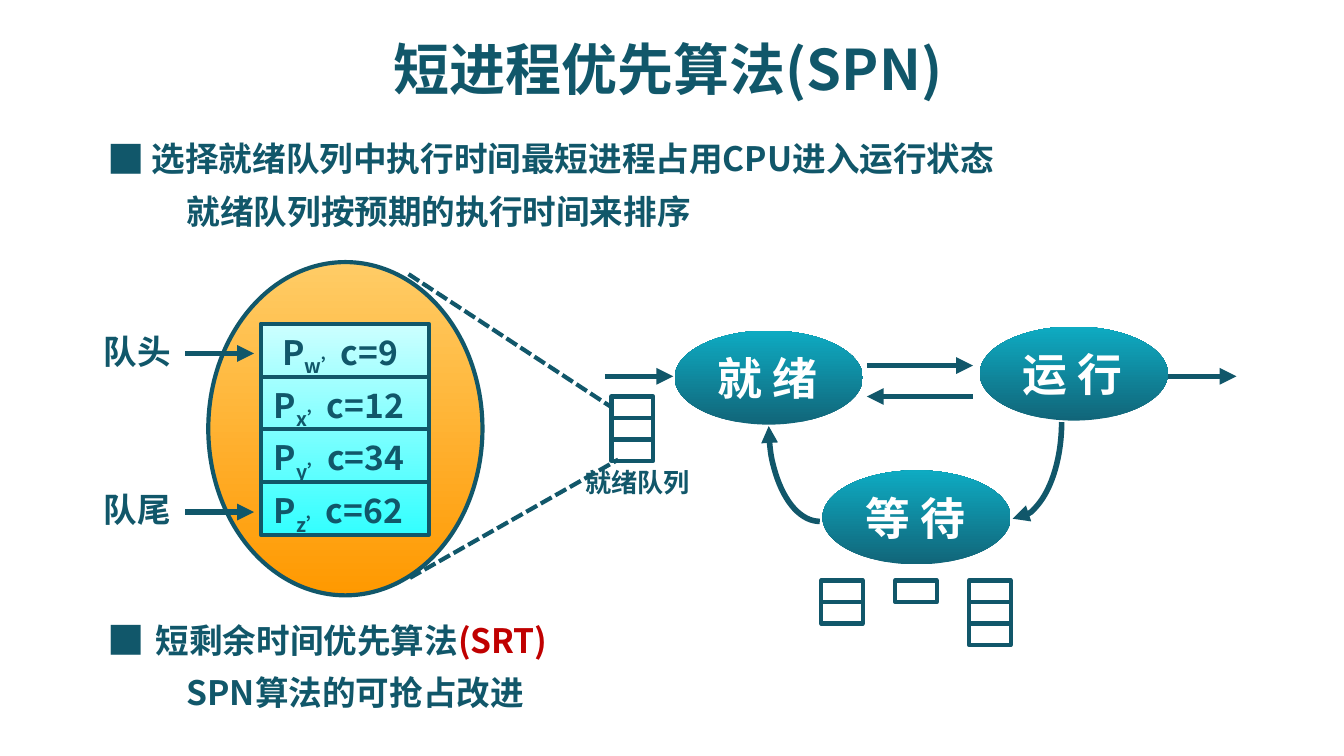
from lxml import etree
from pptx import Presentation
from pptx.dml.color import RGBColor
from pptx.enum import dml, shapes, text
from pptx.oxml import ns
from pptx.util import Inches, Pt

COLORS = {
    "ink": "11576A", "red": "C00000", "white": "FFFFFF",
    "state_dark": "116579", "state_light": "0EABC2",
    "lens_top": "FFCC66", "lens_bottom": "FF9900",
    "list_top": "CCFFFF", "list_bottom": "33FFFF",
}
FONT = "Noto Sans CJK SC"
BULLET_FONT = "Noto Sans CJK JP"
CELL_W, CELL_H = 0.31, 0.16


def rgb(name):
    return RGBColor.from_string(COLORS[name])


def add_run(p, content, size, color="ink", font=FONT, baseline=0):
    r = p.add_run()
    r.text = content
    for key, value in {"size": Pt(size), "bold": True, "name": font}.items():
        setattr(r.font, key, value)
    r.font.color.rgb = rgb(color)
    props = r.font._element
    etree.SubElement(props, ns.qn("a:ea")).set("typeface", font)
    if baseline:
        props.set("baseline", str(baseline * 1000))


def write(sp, runs, size, align="LEFT", inset=0.1, font=FONT):
    tf = sp.text_frame
    form = {"word_wrap": True, "vertical_anchor": text.MSO_ANCHOR.MIDDLE,
            "margin_left": Inches(inset), "margin_right": 0}
    for key, value in form.items():
        setattr(tf, key, value)
    p = tf.paragraphs[0]
    p.alignment = getattr(text.PP_ALIGN, align)
    for content, *style in runs:
        add_run(p, content, size, *(style[:1] or ["ink"]), font, *style[1:])


def add_label(s, box, runs, size, **form):
    sp = s.shapes.add_textbox(*map(Inches, box))
    write(sp, runs, size, **form)


def style_line(line, width, head=None, tail=None):
    line.color.rgb = rgb("ink")
    line.width = Pt(width)
    ln = line._get_or_add_ln()
    for tag, kind in (("a:headEnd", head), ("a:tailEnd", tail)):
        if kind:
            etree.SubElement(ln, ns.qn(tag)).set("type", kind)


def add_shape(s, kind, box, colors=None, angle=270, width=None):
    sp = s.shapes.add_shape(getattr(shapes.MSO_SHAPE, kind), *map(Inches, box))
    sp.shadow.inherit = False
    if colors:
        sp.fill.gradient()
        sp.fill.gradient_angle = angle
        for stop, color in zip(sp.fill.gradient_stops, colors):
            stop.color.rgb = rgb(color)
    else:
        sp.fill.background()
    if width:
        style_line(sp.line, width)
    else:
        sp.line.fill.background()
    return sp


def add_line(s, x1, y1, x2, y2, width=3, head=None, tail=None, dashed=False):
    c = s.shapes.add_connector(shapes.MSO_CONNECTOR.STRAIGHT,
                               *map(Inches, (x1, y1, x2, y2)))
    if dashed:
        c.line.dash_style = dml.MSO_LINE.SQUARE_DOT
    style_line(c.line, width, head, tail)
    etree.SubElement(c._element.spPr, ns.qn("a:effectLst"))
    return c


def add_arc(s, box, flipped=False):
    sp = add_shape(s, "ARC", box, width=3)
    sp.adjustments[0] = 0.537
    sp.adjustments[1] = 54
    if flipped:
        sp._element.spPr.find(ns.qn("a:xfrm")).set("flipH", "1")
        style_line(sp.line, 3, head="triangle")
    else:
        style_line(sp.line, 3, tail="triangle")


def add_cells(s, x, y, count):
    return [add_shape(s, "RECTANGLE", (x, y + i * CELL_H, CELL_W, CELL_H), width=2.25)
            for i in range(count)]


def add_point(s, x, y, width, indent, heading, detail):
    add_label(s, (x + indent, y + 0.02, width, 0.4), heading, 18)
    add_label(s, (x, y, 0.47, 0.44), [("■",)], 20, font=BULLET_FONT)
    add_label(s, (x + 0.59, y + 0.44, 4.65, 0.34), [(detail,)], 18)


def add_states(s, x, y):
    w, h = 1.4, 0.7
    for label, dx, dy in (("就 绪", 0.52, 0.03), ("运 行", 2.79, 0), ("等 待", 1.62, 1.07)):
        add_shape(s, "OVAL", (x + dx, y + dy, w, h),
                  ("state_dark", "state_light"), angle=90)
        add_label(s, (x + dx + 0.2, y + dy + 0.1, 0.98, 0.5), [(label, "white")], 24,
                  align="CENTER", inset=0)
    add_arc(s, (x + 2.67, y - 0.02, 0.73, 1.45))
    add_arc(s, (x + 1.22, y + 0.02, 0.76, 1.43), flipped=True)
    add_line(s, x + 1.95, y + 0.29, x + 2.74, y + 0.29, tail="triangle")
    add_line(s, x + 1.95, y + 0.52, x + 2.74, y + 0.52, head="triangle")
    for dx in (0, 4.19):
        add_line(s, x + dx, y + 0.37, x + dx + 0.51, y + 0.37, tail="triangle")
    for i, count in enumerate((2, 1, 3)):
        add_cells(s, x + 1.61 + i * 0.55, y + 1.89, count)
    ready = add_cells(s, x + 0.05, y + 0.52, 3)
    add_label(s, (x - 0.25, y + 0.99, 0.99, 0.34), [("就绪队列",)], 14,
              align="CENTER", inset=0)
    return ready


def add_queue_lens(s, x, y):
    add_shape(s, "OVAL", (x, y, 2.04, 2.48), ("lens_top", "lens_bottom"), width=2.25)
    left, top, w, h = x + 0.39, y + 0.46, 1.25, 1.57
    row = h / 4
    queue = add_shape(s, "RECTANGLE", (left, top, w, h),
                      ("list_top", "list_bottom"), width=2.25)
    for i, (name, cost) in enumerate((("w", 9), ("x", 12), ("y", 34), ("z", 62))):
        inset = 0.16 if i == 0 else 0.1
        add_label(s, (left, top + 0.03 + i * row, w, 0.4),
                  [("P",), (name + "’", "ink", -25), (f"c={cost}",)], 18, inset=inset)
    for i in (1, 2, 3):
        c = add_line(s, left, top + i * row, left + w, top + i * row, 2.25)
        if i == 2:
            c.begin_connect(queue, 1)
            c.end_connect(queue, 3)
    for label, dy in (("队头", 0.68), ("队尾", 1.86)):
        add_label(s, (x - 0.89, y + dy - 0.22, 0.72, 0.4), [(label,)], 18,
                  align="CENTER", inset=0)
        add_line(s, x - 0.17, y + dy, x + 0.34, y + dy, tail="triangle")


def add_zoom_lines(s, x, y, ready):
    c = add_line(s, x, y, x + 1.51, y + 0.99, 2.25, dashed=True)
    c.end_connect(ready[0], 1)
    add_line(s, x + 0.01, y + 2.26, x + 1.56, y + 1.38, 2.25, dashed=True)


def main():
    prs = Presentation()
    prs.slide_width = Inches(10)
    prs.slide_height = prs.slide_width * 9 // 16
    s = prs.slides.add_slide(prs.slide_layouts[6])
    add_label(s, (0.47, 0.23, 9, 0.56), [("短进程优先算法(SPN)",)], 30,
              align="CENTER", inset=0)
    add_point(s, 0.7, 0.96, 6.98, 0.33,
              [("选择就绪队列中执行时间最短进程占用CPU进入运行状态",)],
              "就绪队列按预期的执行时间来排序")
    add_point(s, 0.7, 4.54, 4.63, 0.36, [("短剩余时间优先算法",), ("(SRT)", "red")],
              "SPN算法的可抢占改进")
    ready = add_states(s, 4.5, 2.43)
    add_queue_lens(s, 1.55, 1.95)
    add_zoom_lines(s, 3.04, 2.04, ready)
    prs.save("out.pptx")


if __name__ == "__main__":
    main()
